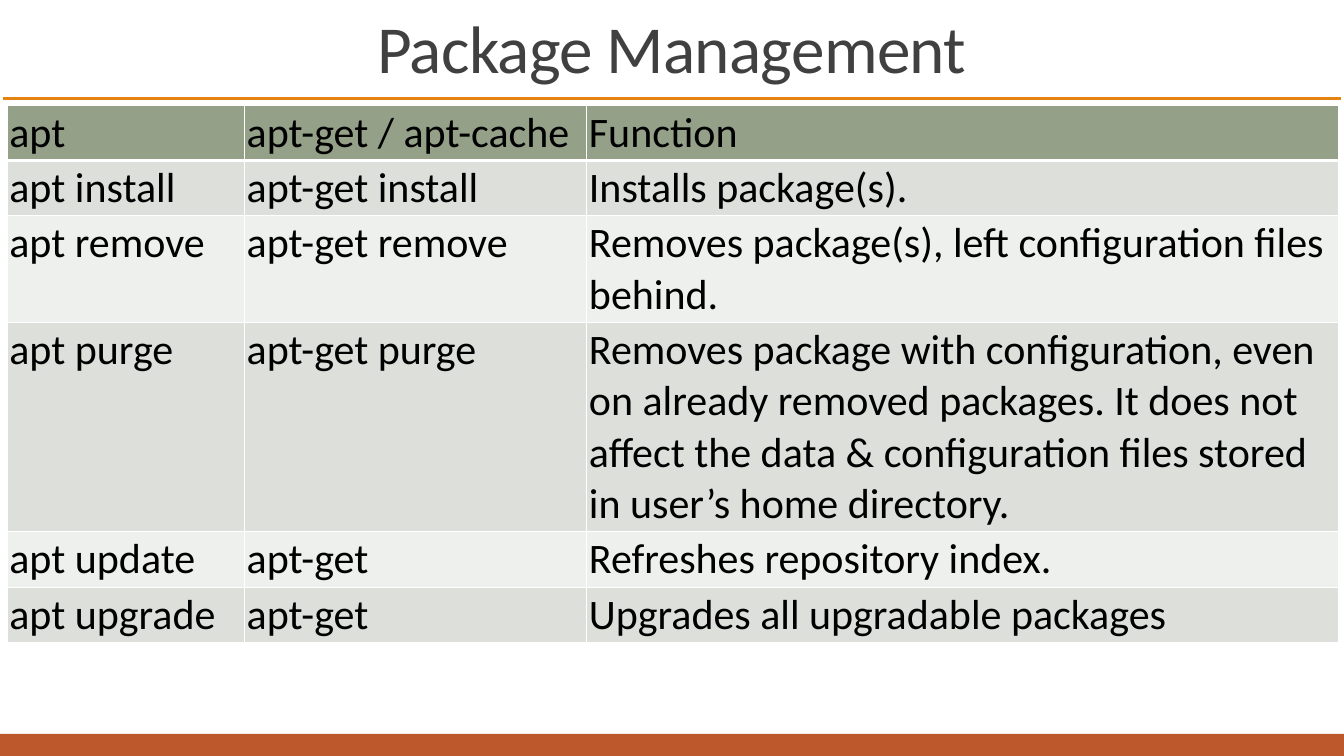
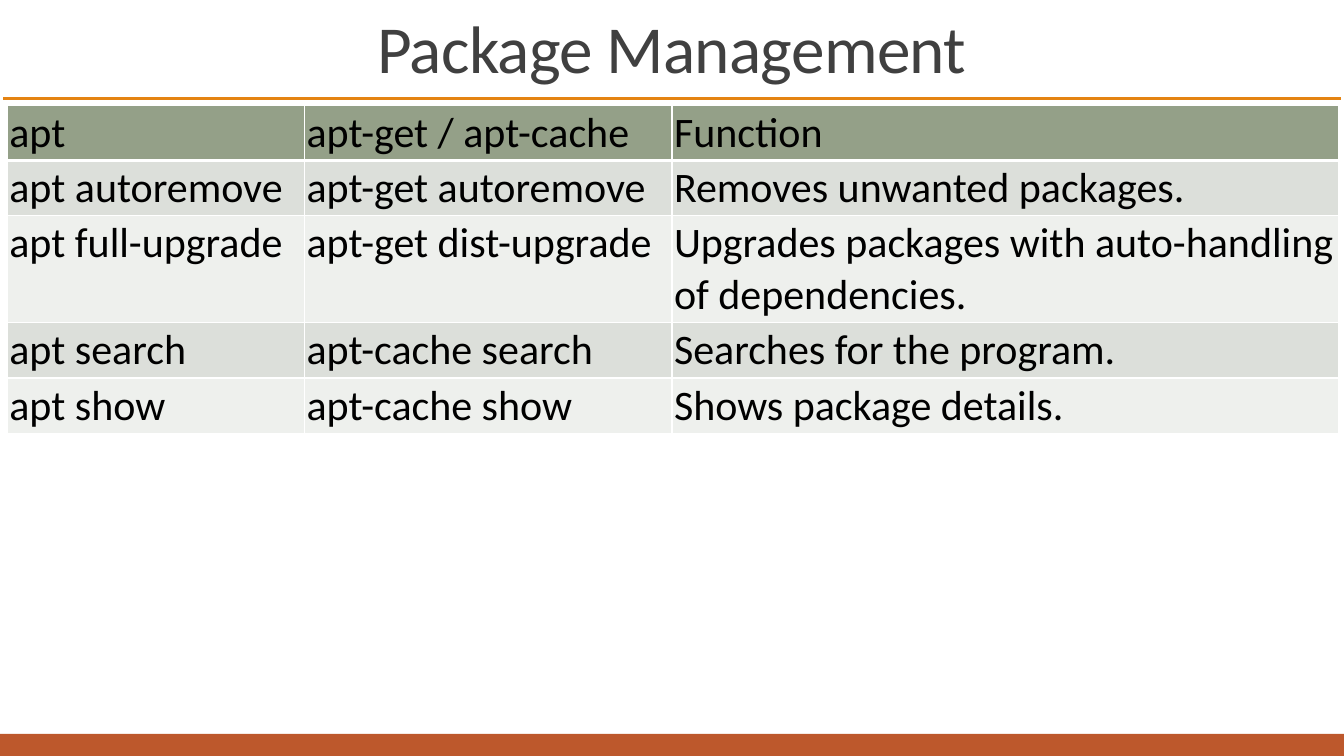
from lxml.etree import SubElement
from pptx import Presentation
from pptx.dml.color import RGBColor
from pptx.enum.shapes import MSO_CONNECTOR as Connector, MSO_SHAPE as Shape
from pptx.enum.text import MSO_ANCHOR as Anchor, MSO_AUTO_SIZE as AutoSize, PP_ALIGN as Align
from pptx.oxml.ns import qn
from pptx.util import Pt

PX = 9525  # EMU per pixel, 96 pixels to the inch
SLIDE_WIDTH, SLIDE_HEIGHT = 1280, 720
TITLE_BOX = (3, 4, 1274, 84)
BAND_BOX = (0, 699, SLIDE_WIDTH, 21)
RULE_BOX = (3, 94, 1274, 0)
TABLE_LEFT, TABLE_TOP = 7, 100
ROW_HEIGHT = 39  # rows grow to fit their text
CELL_MARGIN = 2

FONT = "Calibri"
BLACK = RGBColor(0x00, 0x00, 0x00)
WHITE = RGBColor(0xFF, 0xFF, 0xFF)
TITLE_GRAY = RGBColor(0x40, 0x40, 0x40)
BAND_RUST = RGBColor(0xBD, 0x58, 0x2C)
RULE_ORANGE = RGBColor(0xE4, 0x83, 0x12)
HEADER_GREEN = RGBColor(0x94, 0xA0, 0x88)
ROW_FILLS = (RGBColor(0xDC, 0xDF, 0xDA), RGBColor(0xEE, 0xF0, 0xED))

TITLE = "Package Management"
HEADER = ("apt", "apt-get / apt-cache", "Function")
# Column widths and rows of each slide's table
COMMAND_TABLES = [
    ((226, 326, 716), [
        ("apt install", "apt-get install", "Installs package(s)."),
        ("apt remove", "apt-get remove",
         "Removes package(s), left configuration files behind."),
        ("apt purge", "apt-get purge",
         "Removes package with configuration, even on already removed packages. "
         "It does not affect the data & configuration files stored in user’s home directory."),
        ("apt update", "apt-get", "Refreshes repository index."),
        ("apt upgrade", "apt-get", "Upgrades all upgradable packages"),
    ]),
    ((283, 350, 635), [
        ("apt autoremove", "apt-get autoremove", "Removes unwanted packages."),
        ("apt full-upgrade", "apt-get dist-upgrade",
         "Upgrades packages with auto-handling of dependencies."),
        ("apt search", "apt-cache search", "Searches for the program."),
        ("apt show", "apt-cache show", "Shows package details."),
    ]),
]


def px(*lengths):
    return [length * PX for length in lengths]


def style_font(paragraph, size, color):
    font = paragraph.font
    font.name, font.size = FONT, Pt(size)
    font.color.rgb = color


def add_layout_decor(layout, slide):
    """Draw the footer band and title rule, then hand them to the layout."""
    band = slide.shapes.add_shape(Shape.RECTANGLE, *px(*BAND_BOX))
    band.shadow.inherit = False
    band.fill.solid()
    band.fill.fore_color.rgb = BAND_RUST
    band.line.fill.background()

    left, top, width, height = RULE_BOX
    rule = slide.shapes.add_connector(
        Connector.STRAIGHT, *px(left, top, left + width, top + height))
    rule.line.color.rgb = RULE_ORANGE
    rule.line.width = Pt(2.25)
    SubElement(rule.element.spPr, qn("a:effectLst"))

    for shape in (band, rule):
        layout.shapes.element.append(shape.element)


def fill_title(title, box):
    title.left, title.top, title.width, title.height = px(*box)
    frame = title.text_frame
    frame.text = TITLE
    frame.auto_size = AutoSize.NONE
    frame.vertical_anchor = Anchor.BOTTOM
    paragraph = frame.paragraphs[0]
    paragraph.alignment = Align.CENTER
    paragraph.line_spacing = 0.85
    style_font(paragraph, 48, TITLE_GRAY)
    for properties in title.element.iter(qn("a:defRPr")):
        properties.set("spc", "-50")


def add_borders(cell, top, bottom):
    properties = cell._tc.get_or_add_tcPr()
    for side, width in (("L", 1), ("R", 1), ("T", top), ("B", bottom)):
        line = SubElement(properties, qn(f"a:ln{side}"), w=str(Pt(width)))
        fill = SubElement(line, qn("a:solidFill"))
        SubElement(fill, qn("a:srgbClr"), val=str(WHITE))


def fill_cell(cell, text, row_index):
    # The line under the header is heavier than the others
    add_borders(cell, top=3 if row_index == 1 else 1, bottom=3 if row_index == 0 else 1)
    cell.fill.solid()
    cell.fill.fore_color.rgb = ROW_FILLS[(row_index - 1) % 2] if row_index else HEADER_GREEN
    cell.margin_left = cell.margin_right = CELL_MARGIN * PX
    cell.margin_top = cell.margin_bottom = CELL_MARGIN * PX
    cell.text = text
    style_font(cell.text_frame.paragraphs[0], 30, BLACK)


def add_command_table(slide, left, top, column_widths, commands):
    rows = [HEADER, *commands]
    box = px(left, top, sum(column_widths), ROW_HEIGHT * len(rows))
    table = slide.shapes.add_table(len(rows), len(HEADER), *box).table
    table.first_row = table.horz_banding = False
    for column, width in zip(table.columns, column_widths):
        column.width = width * PX
    for row_index, texts in enumerate(rows):
        for column_index, text in enumerate(texts):
            fill_cell(table.cell(row_index, column_index), text, row_index)


def main():
    presentation = Presentation()
    presentation.slide_width, presentation.slide_height = px(SLIDE_WIDTH, SLIDE_HEIGHT)
    layout = presentation.slide_layouts[5]  # Title Only
    for index, (column_widths, commands) in enumerate(COMMAND_TABLES):
        slide = presentation.slides.add_slide(layout)
        if index == 0:
            add_layout_decor(layout, slide)
        fill_title(slide.shapes.title, TITLE_BOX)
        add_command_table(slide, TABLE_LEFT, TABLE_TOP, column_widths, commands)
    presentation.save("out.pptx")


if __name__ == "__main__":
    main()
